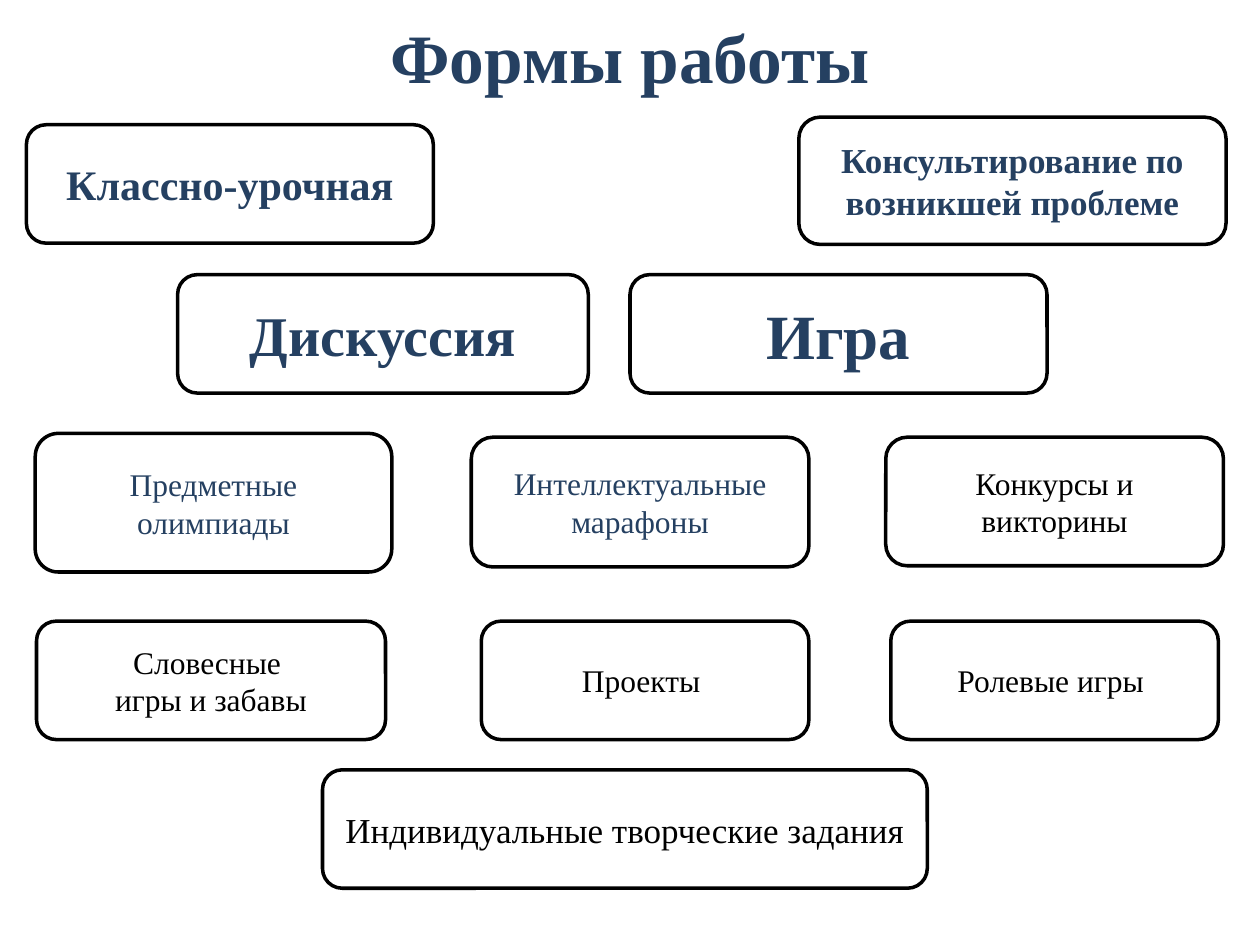
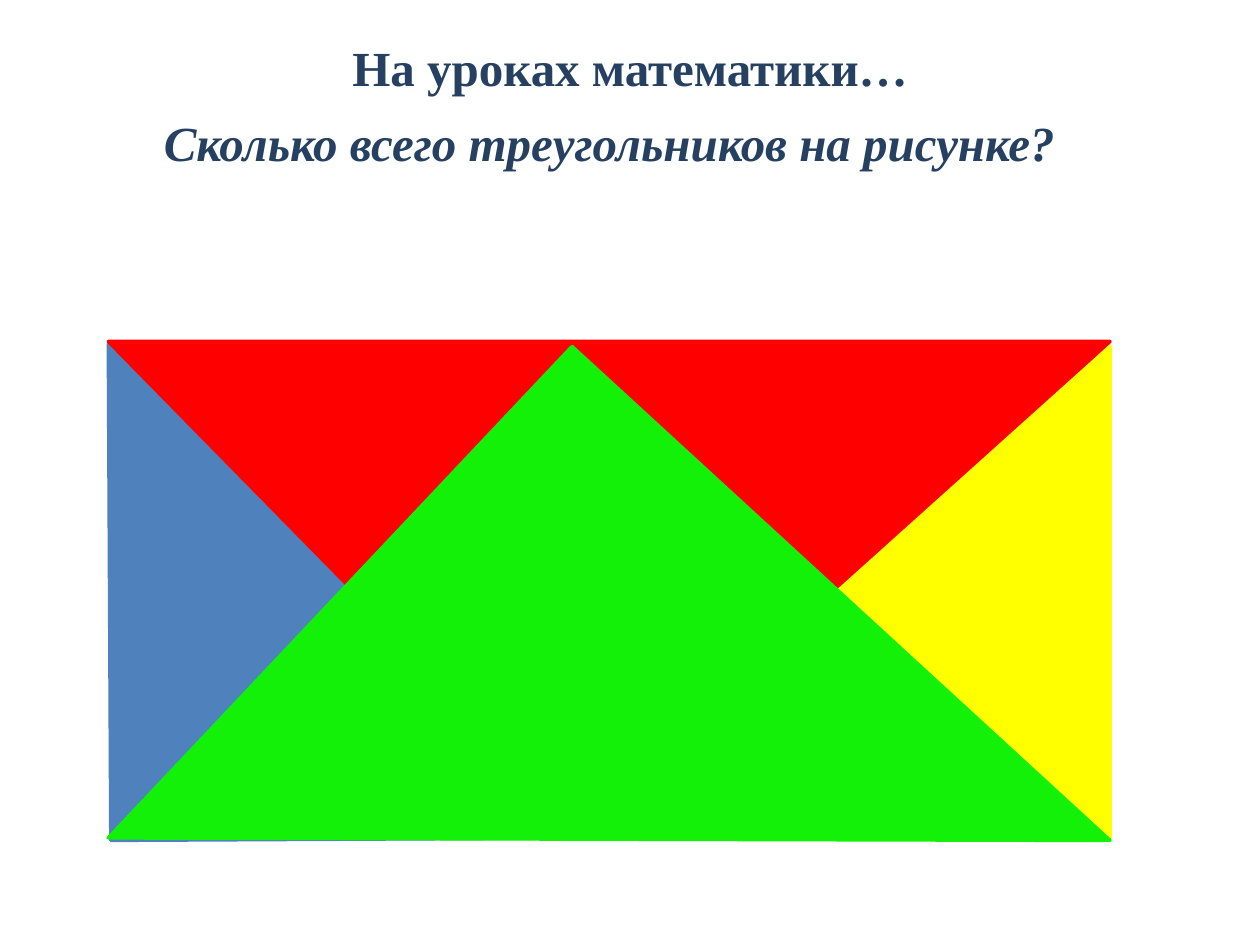
from pptx import Presentation
from pptx.dml.color import RGBColor
from pptx.enum.shapes import MSO_SHAPE as SHAPE
from pptx.enum.text import MSO_ANCHOR as ANCHOR, MSO_AUTO_SIZE as FIT, PP_ALIGN as ALIGN
from pptx.util import Pt

PX = 9144
FONT = "Times New Roman"
NAVY, BLACK, WHITE = "254061", "000000", "FFFFFF"
TITLE_ONLY = 5

WORK_FORMS = [
    ("Классно-урочная", (21, 99, 323, 94), 24, NAVY, True),
    ("Консультирование по возникшей проблеме", (634, 93, 339, 101), 20, NAVY, True),
    ("Дискуссия", (141, 218, 326, 94), 32, NAVY, True),
    ("Игра", (500, 218, 331, 94), 36, NAVY, True),
    ("Предметные олимпиады", (28, 344, 283, 110), 18, NAVY, False),
    ("Интеллектуальные марафоны", (374, 347, 268, 103), 18, NAVY, False),
    ("Конкурсы и викторины", (703, 347, 268, 102), 18, BLACK, False),
    ("Словесные \nигры и забавы", (29, 493, 277, 94), 18, BLACK, False),
    ("Проекты ", (382, 493, 260, 94), 18, BLACK, False),
    ("Ролевые игры ", (707, 493, 260, 94), 18, BLACK, False),
    ("Индивидуальные творческие задания", (256, 611, 480, 94), 20, BLACK, False),
]

TRIANGLES = [
    ("4F81BD", [(86, 273), (484, 665), (88, 667)]),
    ("FF0000", [(86, 271), (467, 659), (881, 271)]),
    ("FFFF00", [(447, 665), (881, 275), (881, 665)]),
    ("14F109", [(86, 665), (454, 275), (881, 667)]),
]


def rgb(color):
    """Turn a hex string into a colour."""
    return RGBColor.from_string(color)


def emu(lengths):
    """Scale px lengths to EMU."""
    return [n * PX for n in lengths]


def write(s, text, size, color=NAVY, anchor=ANCHOR.MIDDLE, **extra):
    """Fill a shape with centred text in the shared font."""
    tf = s.text_frame
    tf.text = text
    tf.word_wrap = True
    tf.auto_size = FIT.NONE
    tf.vertical_anchor = anchor
    look = {"name": FONT, "size": Pt(size), "bold": True, **extra}
    for p in tf.paragraphs:
        p.alignment = ALIGN.CENTER
        for r in p.runs:
            for key, value in look.items():
                setattr(r.font, key, value)
            r.font.color.rgb = rgb(color)


def paint(s, fill, line):
    """Give a shape a plain fill and a 2 pt line."""
    s.shadow.inherit = False
    s.fill.solid()
    s.fill.fore_color.rgb = rgb(fill)
    s.line.color.rgb = rgb(line)
    s.line.width = Pt(2)


def add_slide(prs, title, top, height, size):
    """Add a slide with its title in place."""
    slide = prs.slides.add_slide(prs.slide_layouts[TITLE_ONLY])
    s = slide.shapes.title
    s.left, s.top, s.width, s.height = emu((50, top, 900, height))
    write(s, title, size)
    return slide


def add_card(slide, text, box, size, color, bold):
    """Add a rounded card naming one form of work."""
    s = slide.shapes.add_shape(SHAPE.ROUNDED_RECTANGLE, *emu(box))
    paint(s, WHITE, BLACK)
    write(s, text, size, color, bold=bold)


def add_question(slide, text, box):
    """Add the question in bold italics."""
    s = slide.shapes.add_textbox(*emu(box))
    write(s, text, 28, anchor=ANCHOR.TOP, italic=True)
    s.text_frame.paragraphs[0].space_before = Pt(2)


def add_triangle(slide, color, corners):
    """Add a triangle of one colour."""
    start, *others = corners
    builder = slide.shapes.build_freeform(*start, scale=PX)
    builder.add_line_segments(others, close=True)
    paint(builder.convert_to_shape(), color, color)


def main():
    """Build both slides and save them."""
    prs = Presentation()
    prs.slide_width, prs.slide_height = emu((1000, 750))

    forms = add_slide(prs, "Формы работы", 13, 63, 39.6)
    for card in WORK_FORMS:
        add_card(forms, *card)

    maths = add_slide(prs, "На уроках математики…", 30, 46, 28)
    add_question(maths, "Сколько всего треугольников на рисунке?", (11, 84, 945, 630))
    for triangle in TRIANGLES:
        add_triangle(maths, *triangle)

    prs.save("out.pptx")


if __name__ == "__main__":
    main()
